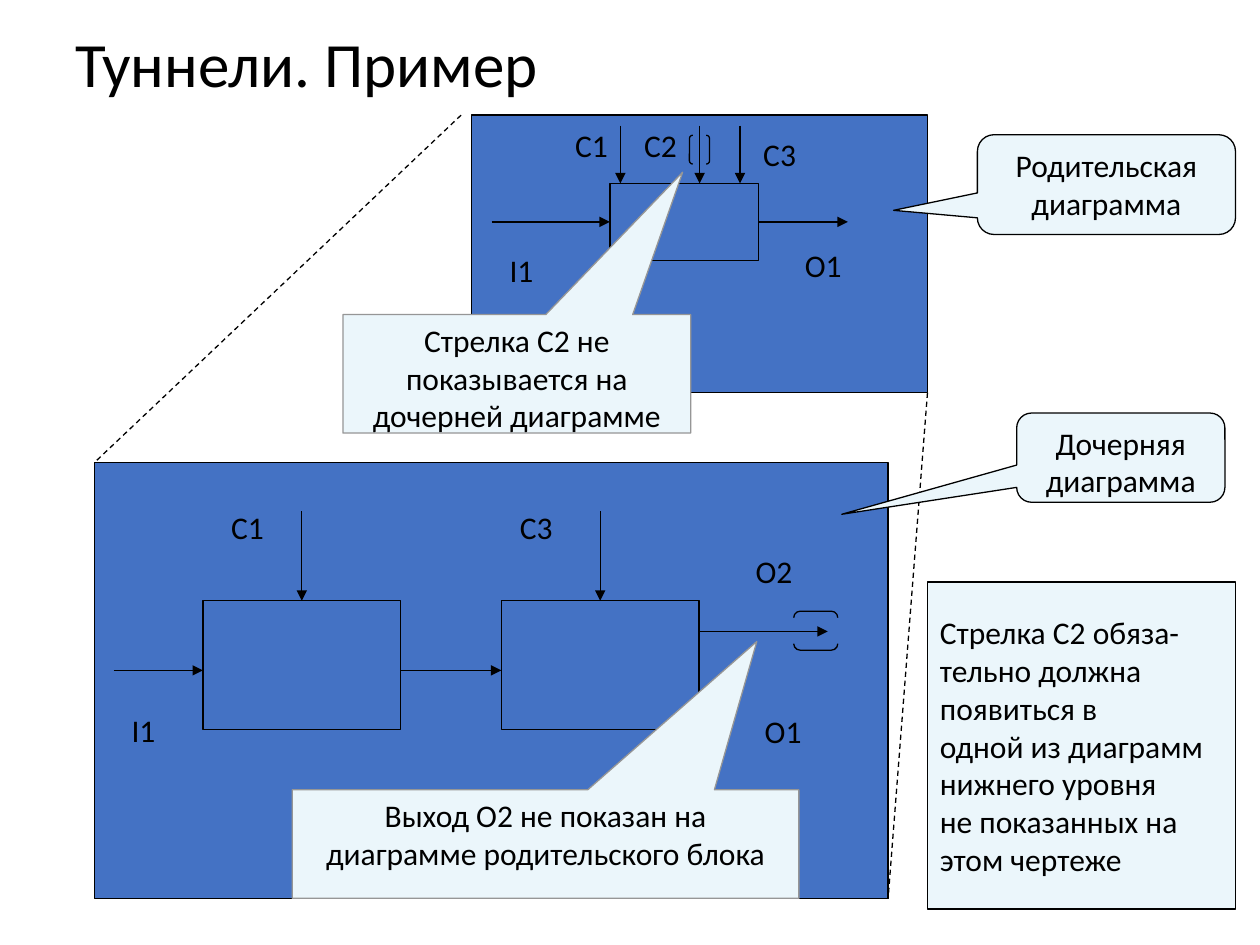
from dataclasses import dataclass

import pptx
import pptx.dml.color
import pptx.enum.dml
import pptx.enum.shapes
import pptx.enum.text
import pptx.oxml
import pptx.oxml.ns
import pptx.util

Pt = pptx.util.Pt
RGB = pptx.dml.color.RGBColor.from_string
SHAPE = pptx.enum.shapes.MSO_SHAPE
ALIGN = pptx.enum.text.PP_ALIGN
ANCHOR = pptx.enum.text.MSO_ANCHOR
TOP, LEFT, RIGHT = 0, 1, 3  # connection sites of a rectangle


@dataclass(frozen=True)
class Theme:
    ink: str = "000000"
    diagram: str = "4472C4"
    note: str = "EBF6FB"
    note_edge: str = "969696"
    font: str = "Calibri"
    title_size: float = 36
    body_size: float = 18
    line_width: float = 0.75


THEME = Theme()


@dataclass(frozen=True)
class Box:
    x: float
    y: float
    w: float
    h: float

    def inner(self, x, y, w, h):
        return Box(self.x + x, self.y + y, w, h)

    def point(self, x, y):
        return self.x + x, self.y + y


def add_run(paragraph, text, size):
    run = paragraph.add_run()
    run.text = text
    run.font.name = THEME.font
    run.font.size = Pt(size)
    run.font.color.rgb = RGB(THEME.ink)


def add_box(slide, box, fill=None, edge=None, kind=SHAPE.RECTANGLE, adjust=()):
    shape = slide.shapes.add_shape(kind, Pt(box.x), Pt(box.y), Pt(box.w), Pt(box.h))
    shape.shadow.inherit = False
    for index, value in enumerate(adjust):
        shape.adjustments[index] = value
    if fill:
        shape.fill.solid()
        shape.fill.fore_color.rgb = RGB(fill)
    else:
        shape.fill.background()
    if edge:
        shape.line.color.rgb = RGB(edge)
        shape.line.width = Pt(THEME.line_width)
    else:
        shape.line.fill.background()
    return shape


def write(shape, lines, align=ALIGN.CENTER, anchor=ANCHOR.TOP, wrap=True):
    frame = shape.text_frame
    frame.word_wrap = wrap
    frame.vertical_anchor = anchor
    for index, line in enumerate(lines):
        paragraph = frame.add_paragraph() if index else frame.paragraphs[0]
        paragraph.alignment = align
        add_run(paragraph, line, THEME.body_size)


def add_label(slide, text, box):
    write(add_box(slide, box, THEME.diagram), [text], anchor=ANCHOR.MIDDLE, wrap=False)


def add_block(slide, box):
    return add_box(slide, box, THEME.diagram, THEME.ink)


def add_callout(slide, lines, box, adjust, rounded=False):
    kind = SHAPE.ROUNDED_RECTANGULAR_CALLOUT if rounded else SHAPE.RECTANGULAR_CALLOUT
    edge = THEME.ink if rounded else THEME.note_edge
    write(add_box(slide, box, THEME.note, edge, kind, adjust), lines)


def add_line(slide, start, end, dashed=False):
    line = slide.shapes.add_connector(
        pptx.enum.shapes.MSO_CONNECTOR.STRAIGHT, *map(Pt, (*start, *end)))
    line.line.color.rgb = RGB(THEME.ink)
    line.line.width = Pt(THEME.line_width)
    if dashed:
        line.line.dash_style = pptx.enum.dml.MSO_LINE.DASH
    properties = line._element.spPr
    properties.append(pptx.oxml.parse_xml(
        "<a:effectLst %s/>" % pptx.oxml.ns.nsdecls("a")))
    return line


def add_arrow(slide, start, end):
    arrow = add_line(slide, start, end)
    arrow.line._get_or_add_ln().append(pptx.oxml.parse_xml(
        '<a:tailEnd %s type="triangle"/>' % pptx.oxml.ns.nsdecls("a")))
    return arrow


def add_tunnel(slide, box, rotation=0):
    brackets = add_box(slide, box, None, THEME.ink, SHAPE.DOUBLE_BRACKET, [0.167])
    brackets.rotation = rotation


def place_title(slide, box):
    title = slide.shapes.title
    title.left, title.top, title.width, title.height = map(
        Pt, (box.x, box.y, box.w, box.h))
    frame = title.text_frame
    frame.auto_size = pptx.enum.text.MSO_AUTO_SIZE.NONE
    frame.vertical_anchor = ANCHOR.MIDDLE
    heading = frame.paragraphs[0]
    heading.alignment = ALIGN.LEFT
    heading.line_spacing = 0.9
    add_run(heading, "Туннели. Пример", THEME.title_size)


def place_parent_diagram(slide, box):
    add_block(slide, box)
    block = add_block(slide, box.inner(79, 39, 85, 44))

    # Controls, with the tunnel around the middle one
    for x in (85, 130.3, 153.4):
        add_arrow(slide, box.point(x, 6), box.point(x, 39))
    for text, x, y in (("С1", 57, 6), ("С2", 96.5, 6), ("С3", 164.5, 11.5)):
        add_label(slide, text, box.inner(x, y, 23, 21.6))
    add_tunnel(slide, box.inner(124.5, 11.5, 11.5, 16.5))

    # Input and output
    add_arrow(slide, box.point(11.5, 61), box.point(79, 61)).end_connect(block, LEFT)
    add_arrow(slide, box.point(164, 61), box.point(215, 61)).begin_connect(block, RIGHT)
    add_label(slide, "I1", box.inner(11.5, 80, 34, 17))
    add_label(slide, "O1", box.inner(187, 74, 28, 23))

    add_callout(slide, ["Стрелка С2 не показывается на дочерней диаграмме"],
                box.inner(-73.5, 114, 198.7, 67.7), (0.477, -1.702))


def place_child_diagram(slide, box):
    add_block(slide, box)

    # Two blocks, each with its input and control
    for control, x, source, label_x in (("С1", 62, 11, 73.5), ("С3", 232.5, 175, 238.5)):
        block = add_block(slide, box.inner(x, 79, 113, 73.5))
        add_arrow(slide, box.point(source, 118.8), box.point(x, 118.8))
        middle = x + 113 / 2
        add_arrow(slide, box.point(middle, 28),
                  box.point(middle, 79)).end_connect(block, TOP)
        add_label(slide, control, box.inner(label_x, 23, 28, 28))

    # Outputs, with the tunnel at the arrowhead
    add_label(slide, "I1", box.inner(11, 142, 34, 22))
    add_label(slide, "O1", box.inner(379.5, 142, 28, 23))
    add_arrow(slide, box.point(345.5, 96.5), box.point(419, 96.5))
    add_tunnel(slide, box.inner(401, 83.5, 22.3, 25.2), 270)
    add_label(slide, "O2", box.inner(368.5, 51, 39.5, 22))

    add_callout(slide, ["Выход O2 не показан на", "диаграмме родительского блока"],
                box.inner(113, 187, 289.5, 62), (0.417, -1.867))


def place_remark(slide, box):
    remark = add_box(slide, box, THEME.note, THEME.ink)
    write(remark, ["Стрелка С2 обяза-", "тельно должна", "появиться в",
                   "одной из диаграмм", "нижнего уровня", "не показанных на",
                   "этом чертеже"], ALIGN.LEFT, ANCHOR.MIDDLE, wrap=False)


def main():
    deck = pptx.Presentation()
    deck.slide_width, deck.slide_height = Pt(720), Pt(540)
    slide = deck.slides.add_slide(deck.slide_layouts[5])
    parent = Box(269.5, 65.8, 260.5, 158.6)
    child = Box(54, 264.3, 453.5, 249.2)

    place_title(slide, Box(36, 21.6, 648, 33))

    # Zoom lines between the two diagrams
    add_line(slide, parent.point(-6, 0), child.point(0, 0), dashed=True)
    add_line(slide, parent.point(parent.w, parent.h),
             child.point(child.w, child.h), dashed=True)

    place_parent_diagram(slide, parent)
    add_callout(slide, ["Родительская диаграмма"], Box(558.5, 77, 147.5, 57),
                (-0.825, 0.258, 0.167), rounded=True)
    place_child_diagram(slide, child)
    add_callout(slide, ["Дочерняя диаграмма"], Box(581, 236, 119, 51),
                (-1.34, 0.635, 0.167), rounded=True)
    place_remark(slide, Box(530, 332.5, 176, 187))
    deck.save("out.pptx")


if __name__ == "__main__":
    main()
